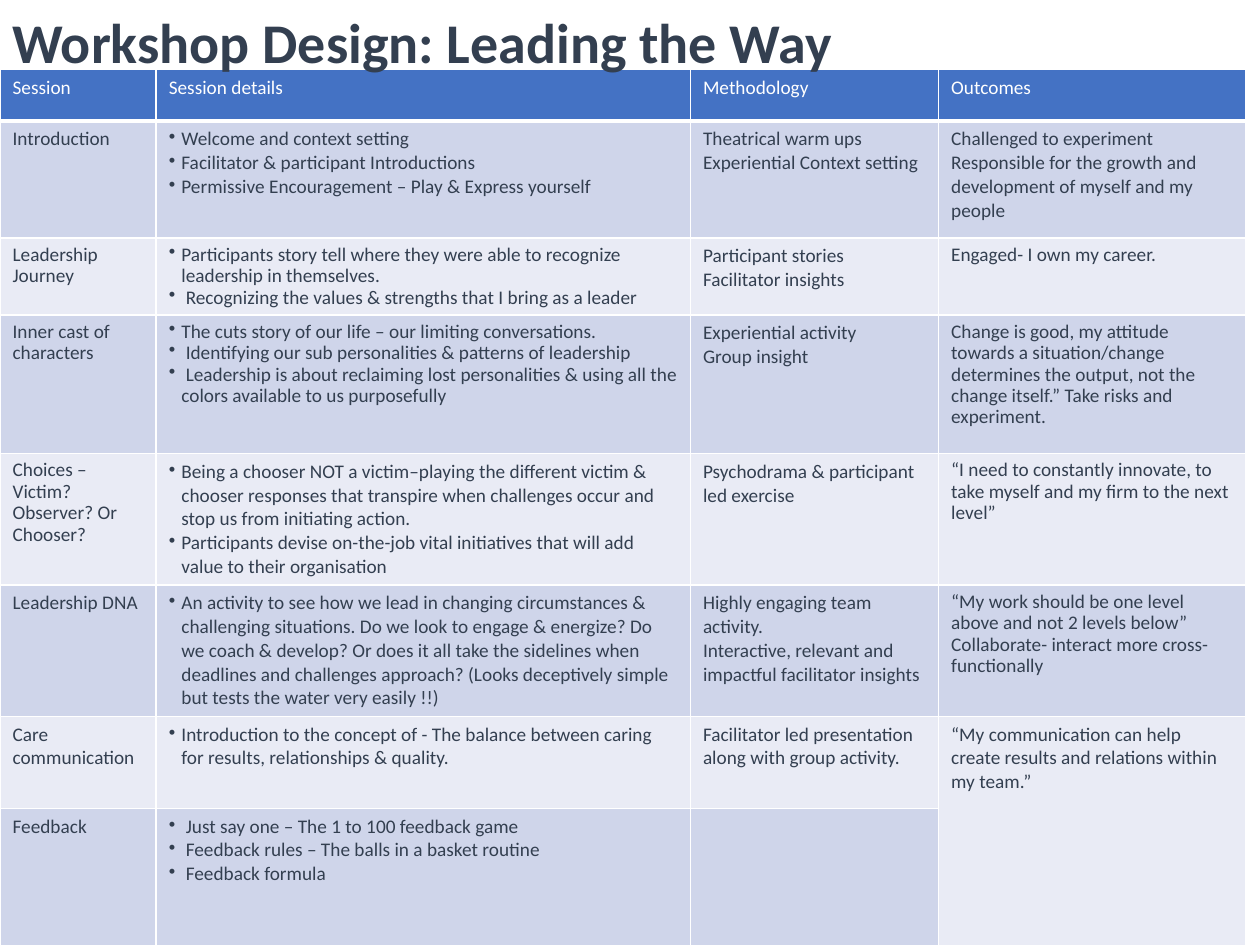
from pptx import Presentation
from pptx.dml.color import RGBColor as RGB
from pptx.enum.text import MSO_AUTO_SIZE as AutoSize
from pptx.oxml.xmlchemy import OxmlElement as Element
from pptx.util import Inches, Pt

COLORS = {
    "ink": "333F50",
    "white": "FFFFFF",
    "header": "4472C4",
    "band_dark": "CFD5EA",
    "band_light": "E9EBF5",
}
COL_WIDTHS = [1.24, 4.24, 1.97, 2.44]
ROW_HEIGHTS = [0.41, 0.93, 0.52, 1.1, 0.89, 0.89, 0.73, 1.21]
BULLET_COL = 1

# Each cell is a list of paragraphs
ROWS = [
    [["Session"], ["Session details"], ["Methodology"], ["Outcomes"]],
    [["Introduction"],
     ["Welcome and context setting",
      "Facilitator & participant Introductions",
      "Permissive Encouragement – Play & Express yourself"],
     ["Theatrical warm ups", "Experiential Context setting"],
     ["Challenged to experiment",
      "Responsible for the growth and development of myself and my people"]],
    [["Leadership Journey"],
     ["Participants story tell where they were able to recognize leadership "
      "in themselves.",
      " Recognizing the values & strengths that I bring as a leader"],
     ["Participant stories", "Facilitator insights"],
     ["Engaged- I own my career."]],
    [["Inner cast of characters"],
     ["The cuts story of our life – our limiting conversations.",
      " Identifying our sub personalities & patterns of leadership",
      " Leadership is about reclaiming lost personalities & using all the "
      "colors available to us purposefully"],
     ["Experiential activity", "Group insight"],
     ["Change is good, my attitude towards a situation/change determines the "
      "output, not the change itself.” Take risks and experiment."]],
    [["Choices – Victim? Observer? Or Chooser?"],
     ["Being a chooser NOT a victim–playing the different victim & chooser "
      "responses that transpire when challenges occur and stop us from "
      "initiating action.",
      "Participants devise on-the-job vital initiatives that will add value "
      "to their organisation"],
     ["Psychodrama & participant led exercise"],
     ["“I need to constantly innovate, to take myself and my firm to the "
      "next level”"]],
    [["Leadership DNA"],
     ["An activity to see how we lead in changing circumstances & "
      "challenging situations. Do we look to engage & energize? Do we coach "
      "& develop? Or does it all take the sidelines when deadlines and "
      "challenges approach? (Looks deceptively simple but tests the water "
      "very easily !!)"],
     ["Highly engaging team activity.",
      "Interactive, relevant and impactful facilitator insights"],
     ["“My work should be one level above and not 2 levels below”",
      "Collaborate- interact more cross-functionally"]],
    [["Care communication"],
     ["Introduction to the concept of - The balance between caring for "
      "results, relationships & quality."],
     ["Facilitator led presentation along with group activity."],
     ["“My communication can help create results and relations within my "
      "team.”"]],
    [["Feedback"],
     [" Just say one – The 1 to 100 feedback game",
      " Feedback rules – The balls in a basket routine",
      " Feedback formula"],
     [], []],
]
# Cells (row, column) set with 90 % line spacing
TIGHT = {(2, 0), (2, 1), (2, 3), (3, 0), (3, 1), (3, 3), (4, 0), (4, 3), (5, 3)}


class SlideBuilder:
    font_name = "Calibri"

    def __init__(self, slide):
        self.s = slide

    def run(self, p, text, color, size, bold=False):
        r = p.add_run()
        r.text = text
        style = {"name": self.font_name, "size": Pt(size), "bold": bold}
        for key, value in style.items():
            setattr(r.font, key, value)
        r.font.color.rgb = RGB.from_string(COLORS[color])

    def bullet(self, p):
        pPr = p._p.get_or_add_pPr()
        pPr.set("marL", str(Inches(0.1)))
        pPr.set("indent", str(Inches(-0.1)))
        mark = Element("a:buChar")
        mark.set("char", "•")
        pPr.append(mark)

    def borders(self, cell, bottom):
        tcPr = cell._tc.get_or_add_tcPr()
        for side, width in {"L": 1, "R": 1, "T": 1, "B": bottom}.items():
            ln = Element(f"a:ln{side}")
            ln.set("w", str(Pt(width)))
            fill, clr = Element("a:solidFill"), Element("a:srgbClr")
            clr.set("val", COLORS["white"])
            fill.append(clr)
            ln.append(fill)
            tcPr.append(ln)

    def cell(self, cell, paragraphs, fill, color, bulleted, tight, bottom):
        self.borders(cell, bottom)
        cell.fill.solid()
        cell.fill.fore_color.rgb = RGB.from_string(COLORS[fill])
        tf = cell.text_frame
        for i, text in enumerate(paragraphs):
            p = tf.add_paragraph() if i else tf.paragraphs[0]
            if bulleted:
                self.bullet(p)
            if tight:
                p.line_spacing = 0.9
            self.run(p, text, color, 11)

    def table(self, left, top):
        tbl = self.s.shapes.add_table(
            len(ROWS), len(COL_WIDTHS), Inches(left), Inches(top),
            Inches(sum(COL_WIDTHS)), Inches(sum(ROW_HEIGHTS))).table
        tbl.first_row = tbl.horz_banding = False
        for col, width in zip(tbl.columns, COL_WIDTHS):
            col.width = Inches(width)
        for row, height in zip(tbl.rows, ROW_HEIGHTS):
            row.height = Inches(height)
        for i, cells in enumerate(ROWS):
            head = i == 0
            band = "band_dark" if i % 2 else "band_light"
            for j, paragraphs in enumerate(cells):
                self.cell(tbl.cell(i, j), paragraphs,
                          fill="header" if head else band,
                          color="white" if head else "ink",
                          bulleted=j == BULLET_COL and not head,
                          tight=(i, j) in TIGHT,
                          bottom=3 if head else 1)
        # The last outcome covers the two bottom rows
        tbl.cell(6, 3).merge(tbl.cell(7, 3))

    def title(self, text, left, top, width, height):
        sp = self.s.shapes.add_textbox(
            Inches(left), Inches(top), Inches(width), Inches(height))
        tf = sp.text_frame
        tf.word_wrap = True
        tf.auto_size = AutoSize.SHAPE_TO_FIT_TEXT
        self.run(tf.paragraphs[0], text, "ink", 32, bold=True)


def main():
    prs = Presentation()
    prs.slide_width, prs.slide_height = Inches(10), Inches(7.5)
    builder = SlideBuilder(prs.slides.add_slide(prs.slide_layouts[6]))

    # Session plan, with the title above it
    builder.table(0, 0.55)
    builder.title("Workshop Design: Leading the Way", 0, 0.01, 10, 0.64)

    prs.save("out.pptx")


if __name__ == "__main__":
    main()
